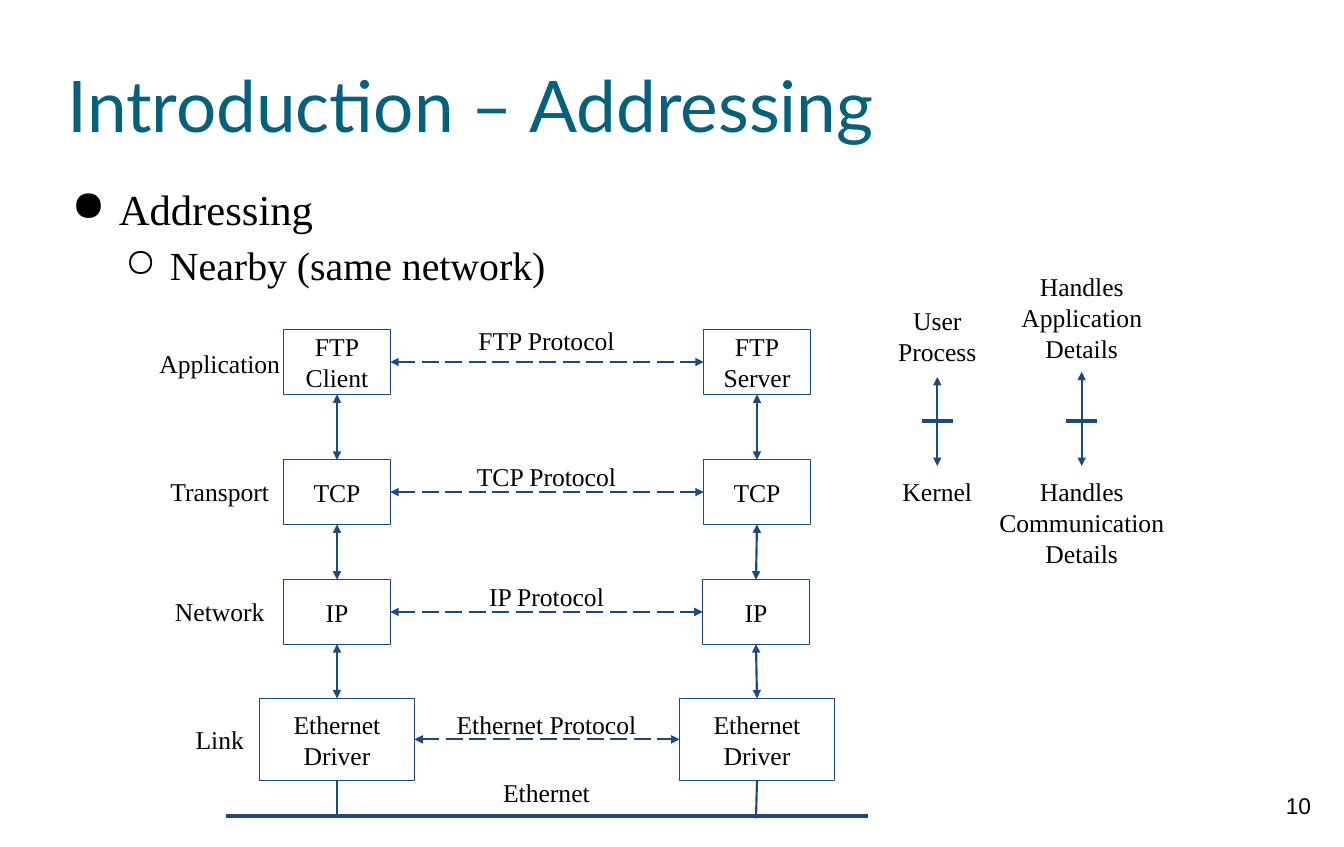
from dataclasses import dataclass

from lxml import etree
from pptx import Presentation
from pptx.dml.color import RGBColor
from pptx.enum.dml import MSO_LINE
from pptx.enum.shapes import MSO_CONNECTOR, MSO_SHAPE
from pptx.enum.text import MSO_ANCHOR as ANCHOR, PP_ALIGN as ALIGN
from pptx.oxml.ns import qn
from pptx.util import Inches, Pt

BLACK = RGBColor(0x00, 0x00, 0x00)
BLUE = RGBColor(0x1F, 0x49, 0x7D)
TEAL = RGBColor(0x04, 0x61, 0x7B)
SERIF = "Times New Roman"
TOP, LEFT, BOTTOM, RIGHT = range(4)
LABEL_W, LABEL_H = 1.61, 0.47
BUS_Y = 7.97


@dataclass
class Layer:
    name: str
    name_y: float
    client: str
    server: str
    protocol: str
    protocol_y: float
    y: float
    server_x: float = 7.39
    w: float = 1.04
    h: float = 0.63
    protocol_x: float = 5.335
    protocol_w: float = LABEL_W


@dataclass
class Division:
    """A split of the stack into an upper and a lower part."""
    x: float
    upper: str
    upper_y: float
    lower: str
    lower_w: float
    arrow_y: float


LAYERS = [
    Layer("Application", 3.3, "FTP\nClient", "FTP\nServer", "FTP Protocol", 3.07, 3.22),
    Layer("Transport", 4.55, "TCP", "TCP", "TCP Protocol", 4.4, 4.49),
    Layer("Network", 5.72, "IP", "IP", "IP Protocol", 5.57, 5.66, server_x=7.38),
    Layer("Link", 6.97, "Ethernet\nDriver", "Ethernet\nDriver", "Ethernet Protocol",
          6.82, 6.82, w=1.51, h=0.8, protocol_w=2.13),
]
CLIENT_X = 3.29
DIVISIONS = [
    Division(9.15, "User\nProcess", 2.88, "Kernel", LABEL_W, 3.68),
    Division(10.56, "Handles\nApplication\nDetails", 2.55,
             "Handles\nCommunication\nDetails", 1.91, 3.63),
]


def write(sp, text: str, *, size=18, font=SERIF, color=BLACK, align=ALIGN.CENTER,
          anchor=ANCHOR.TOP, inset=0.1):
    tf = sp.text_frame
    tf.word_wrap = True
    tf.vertical_anchor = anchor
    tf.margin_left = tf.margin_right = tf.margin_top = tf.margin_bottom = Inches(inset)
    for i, line in enumerate(text.split("\n")):
        p = tf.add_paragraph() if i else tf.paragraphs[0]
        p.alignment = align
        r = p.add_run()
        r.text = line
        r.font.size, r.font.name = Pt(size), font
        r.font.color.rgb = color
    return tf


def add_text(slide, text: str, x: float, y: float, w: float, h: float, **fmt):
    sp = slide.shapes.add_textbox(Inches(x), Inches(y), Inches(w), Inches(h))
    return write(sp, text, **fmt)


def add_label(slide, text: str, center_x: float, y: float, w: float = LABEL_W):
    height = LABEL_H + 0.3 * text.count("\n")
    add_text(slide, text, center_x - w / 2, y, w, height)


def add_box(slide, text: str, center_x: float, layer: Layer):
    sp = slide.shapes.add_shape(MSO_SHAPE.RECTANGLE, Inches(center_x - layer.w / 2),
                                Inches(layer.y), Inches(layer.w), Inches(layer.h))
    sp.shadow.inherit = False
    sp.fill.background()
    sp.line.color.rgb = BLUE
    sp.line.width = Pt(0.75)
    write(sp, text, anchor=ANCHOR.MIDDLE)
    return sp


def add_line(slide, x1: float = 0, y1: float = 0, x2: float = 0, y2: float = 0, *,
             begin=None, end=None, width=1.5, dashed=False, arrows=False):
    """Draw a line; begin and end are (shape, side) pairs to join."""
    line = slide.shapes.add_connector(MSO_CONNECTOR.STRAIGHT, Inches(x1), Inches(y1),
                                      Inches(x2), Inches(y2))
    if begin:
        line.begin_connect(*begin)
    if end:
        line.end_connect(*end)
    line.line.color.rgb = BLUE
    line.line.width = Pt(width)
    if dashed:
        line.line.dash_style = MSO_LINE.LONG_DASH
    sp_pr = line._element.spPr
    if arrows:
        for tag in ("a:headEnd", "a:tailEnd"):
            etree.SubElement(sp_pr.find(qn("a:ln")), qn(tag), type="triangle")
    etree.SubElement(sp_pr, qn("a:effectLst"))


def set_bullet(p, char: str, level: int, margin: float, hanging: float, size: float):
    p.level = level
    p_pr = p._p.get_or_add_pPr()
    p_pr.set("marL", str(Inches(margin)))
    p_pr.set("indent", str(-Inches(hanging)))
    color = etree.SubElement(p_pr, qn("a:buClr"))
    etree.SubElement(color, qn("a:srgbClr"), val=str(BLACK))
    etree.SubElement(p_pr, qn("a:buChar"), char=char)
    p.line_spacing = 1.15
    p.runs[0].font.size = Pt(size)


def add_stacks(slide):
    above = None
    for layer in LAYERS:
        client = add_box(slide, layer.client, CLIENT_X, layer)
        server = add_box(slide, layer.server, layer.server_x, layer)
        add_line(slide, begin=(client, RIGHT), end=(server, LEFT), dashed=True, arrows=True)
        add_label(slide, layer.protocol, layer.protocol_x, layer.protocol_y, layer.protocol_w)
        add_label(slide, layer.name, 2.145, layer.name_y)
        if above:
            for lower, upper in zip((client, server), above):
                add_line(slide, begin=(lower, TOP), end=(upper, BOTTOM), arrows=True)
        above = client, server
    for driver, x in zip(above, (CLIENT_X, 7.38)):
        add_line(slide, x2=x, y2=BUS_Y + 0.02, begin=(driver, BOTTOM))
    add_line(slide, 2.21, BUS_Y, 8.47, BUS_Y, width=3)
    add_label(slide, "Ethernet", 5.335, 7.49, 2.13)


def add_divisions(slide):
    for d in DIVISIONS:
        add_label(slide, d.upper, d.x, d.upper_y)
        add_label(slide, d.lower, d.x, 4.55, d.lower_w)
        add_line(slide, d.x, d.arrow_y, d.x, 4.55, arrows=True)
        add_line(slide, d.x - 0.15, 4.11, d.x + 0.15, 4.11, width=3)


def main():
    prs = Presentation()
    prs.slide_width, prs.slide_height = Inches(13.12), Inches(8.27)
    slide = prs.slides.add_slide(prs.slide_layouts[6])
    add_text(slide, "10", 12.28, 7.63, 0.79, 0.63, size=16, font="Arial")
    add_text(slide, "Introduction – Addressing", 0.66, 0.33, 11.81, 1.38, size=50,
             font="Lato", color=TEAL, align=ALIGN.LEFT, anchor=ANCHOR.MIDDLE, inset=0)
    tf = add_text(slide, "Addressing\nNearby (same network)", 0.66, 1.71, 11.84, 1.08,
                  align=ALIGN.LEFT, inset=0)
    set_bullet(tf.paragraphs[0], "●", 0, 0.5, 0.46, 30)
    set_bullet(tf.paragraphs[1], "○", 1, 1, 0.44, 28)
    add_stacks(slide)
    add_divisions(slide)
    prs.save("out.pptx")


if __name__ == "__main__":
    main()
